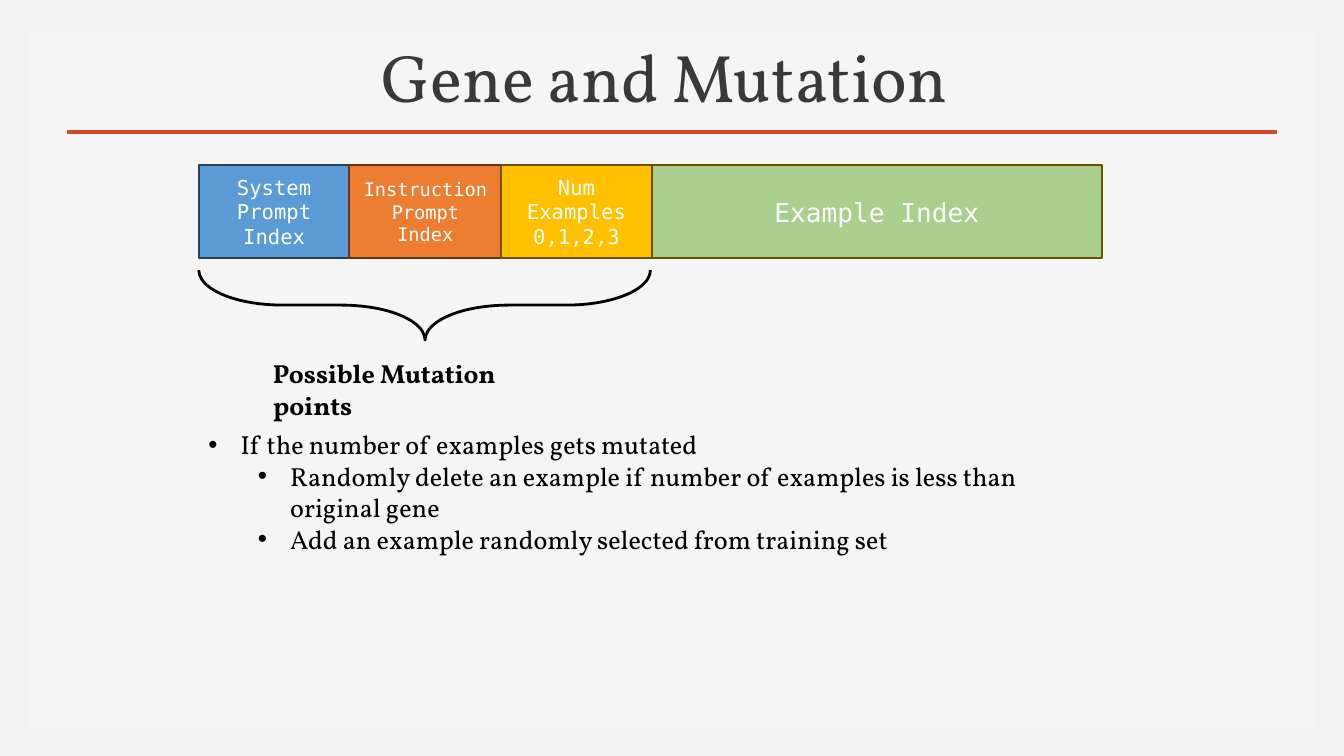
from pptx import Presentation
from pptx.dml.color import RGBColor
from pptx.enum.shapes import MSO_CONNECTOR, MSO_SHAPE
from pptx.enum.text import MSO_ANCHOR, PP_ALIGN
from pptx.oxml.ns import qn
from pptx.util import Inches, Pt
from lxml.etree import SubElement

BACKGROUND = RGBColor(0xF3, 0xF3, 0xF3)
PANEL = RGBColor(0xF5, 0xF5, 0xF5)
RED = RGBColor(0xD2, 0x47, 0x26)
CHARCOAL = RGBColor(0x3A, 0x38, 0x38)
BLACK = RGBColor(0x00, 0x00, 0x00)
WHITE = RGBColor(0xFF, 0xFF, 0xFF)
BLUE = RGBColor(0x5B, 0x9B, 0xD5)
NAVY = RGBColor(0x26, 0x41, 0x59)
ORANGE = RGBColor(0xED, 0x7D, 0x31)
BROWN = RGBColor(0x64, 0x34, 0x14)
GOLD = RGBColor(0xFF, 0xC0, 0x00)
OLIVE = RGBColor(0x6B, 0x51, 0x00)
GREEN = RGBColor(0xA8, 0xD0, 0x8C)

SERIF = "Vollkorn"
MONO = "DejaVu Sans Mono"


def write(shape, lines, anchor, align, name, size, color, bold=False, indents=()):
    frame = shape.text_frame
    frame_format = {
        "word_wrap": True,
        "vertical_anchor": anchor,
        "margin_left": Inches(0.07),
        "margin_right": Inches(0.07),
        "margin_top": Inches(0.04),
        "margin_bottom": Inches(0.04),
    }
    for key, value in frame_format.items():
        setattr(frame, key, value)
    font_format = {"name": name, "size": Pt(size), "bold": bold}
    for index, line in enumerate(lines):
        para = frame.paragraphs[0] if index == 0 else frame.add_paragraph()
        para.alignment = align
        if indents:
            para.level = 0 if index == 0 else 1
            properties = para._p.get_or_add_pPr()
            properties.set("marL", str(Inches(indents[index])))
            properties.set("indent", str(Inches(-0.24)))
            SubElement(properties, qn("a:buFont"), typeface="Arial")
            SubElement(properties, qn("a:buChar"), char="•")
        span = para.add_run()
        span.text = line
        for key, value in font_format.items():
            setattr(span.font, key, value)
        span.font.color.rgb = color


deck = Presentation()
deck.slide_width = Inches(10)
deck.slide_height = Inches(10 * 9 / 16)
page = deck.slides.add_slide(deck.slide_layouts[6])
page.background.fill.solid()
page.background.fill.fore_color.rgb = BACKGROUND
shapes = page.shapes

panel = shapes.add_shape(
    MSO_SHAPE.RECTANGLE, Inches(0.21), Inches(0.22), Inches(9.58), Inches(5.19)
)
panel.shadow.inherit = False
panel.fill.solid()
panel.fill.fore_color.rgb = PANEL
panel.line.fill.background()

rule = shapes.add_connector(
    MSO_CONNECTOR.STRAIGHT, Inches(0.5), Inches(0.98), Inches(9.5), Inches(0.98)
)
rule.line.color.rgb = RED
rule.line.width = Pt(2)
SubElement(rule._element.spPr, qn("a:effectLst"))

title = shapes.add_textbox(Inches(0.43), Inches(0.37), Inches(9.03), Inches(0.53))
write(title, ["Gene and Mutation"], MSO_ANCHOR.BOTTOM, PP_ALIGN.CENTER, SERIF, 36, CHARCOAL)

brace = shapes.add_shape(
    MSO_SHAPE.LEFT_BRACE, Inches(2.9), Inches(0.59), Inches(0.52), Inches(3.36)
)
brace.rotation = 270
brace.adjustments[0] = 1.196
brace.adjustments[1] = 0.501
brace.shadow.inherit = False
brace.fill.background()
brace.line.color.rgb = BLACK
brace.line.width = Pt(1.5)

caption = shapes.add_textbox(Inches(1.96), Inches(2.62), Inches(2.4), Inches(0.31))
write(
    caption, ["Possible Mutation points"],
    MSO_ANCHOR.TOP, PP_ALIGN.LEFT, SERIF, 14, BLACK, bold=True,
)

notes = [
    "If the number of examples gets mutated",
    "Randomly delete an example if number of examples is less than original gene",
    "Add an example randomly selected from training set",
]
bullets = shapes.add_textbox(Inches(1.48), Inches(3.15), Inches(6.3), Inches(1.02))
write(
    bullets, notes, MSO_ANCHOR.TOP, PP_ALIGN.LEFT, SERIF, 14, BLACK,
    indents=(0.24, 0.61, 0.61),
)

genes = [
    (["System", "Prompt", "Index"], 1.12, 11, BLUE, NAVY),
    (["Instruction", "Prompt", "Index"], 1.13, 10, ORANGE, BROWN),
    (["Num Examples", "0,1,2,3"], 1.12, 11, GOLD, OLIVE),
    (["Example Index"], 3.35, 14, GREEN, OLIVE),
]
left = 1.48
for lines, width, size, fill, outline in genes:
    box = shapes.add_shape(
        MSO_SHAPE.RECTANGLE, Inches(left), Inches(1.23), Inches(width), Inches(0.69)
    )
    box.shadow.inherit = False
    box.fill.solid()
    box.fill.fore_color.rgb = fill
    box.line.color.rgb = outline
    box.line.width = Pt(1)
    write(box, lines, MSO_ANCHOR.MIDDLE, PP_ALIGN.CENTER, MONO, size, WHITE)
    left += width

deck.save("out.pptx")
